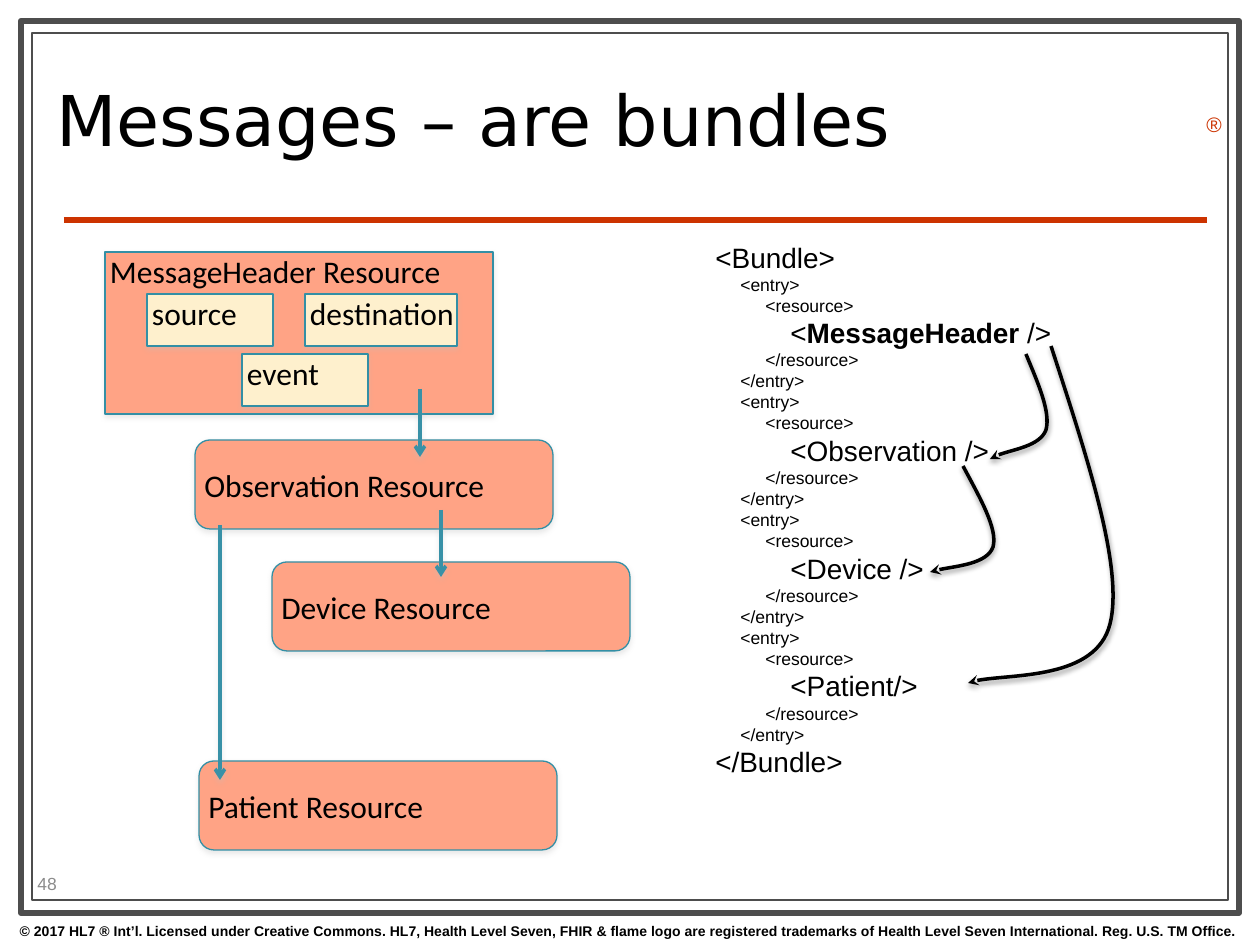
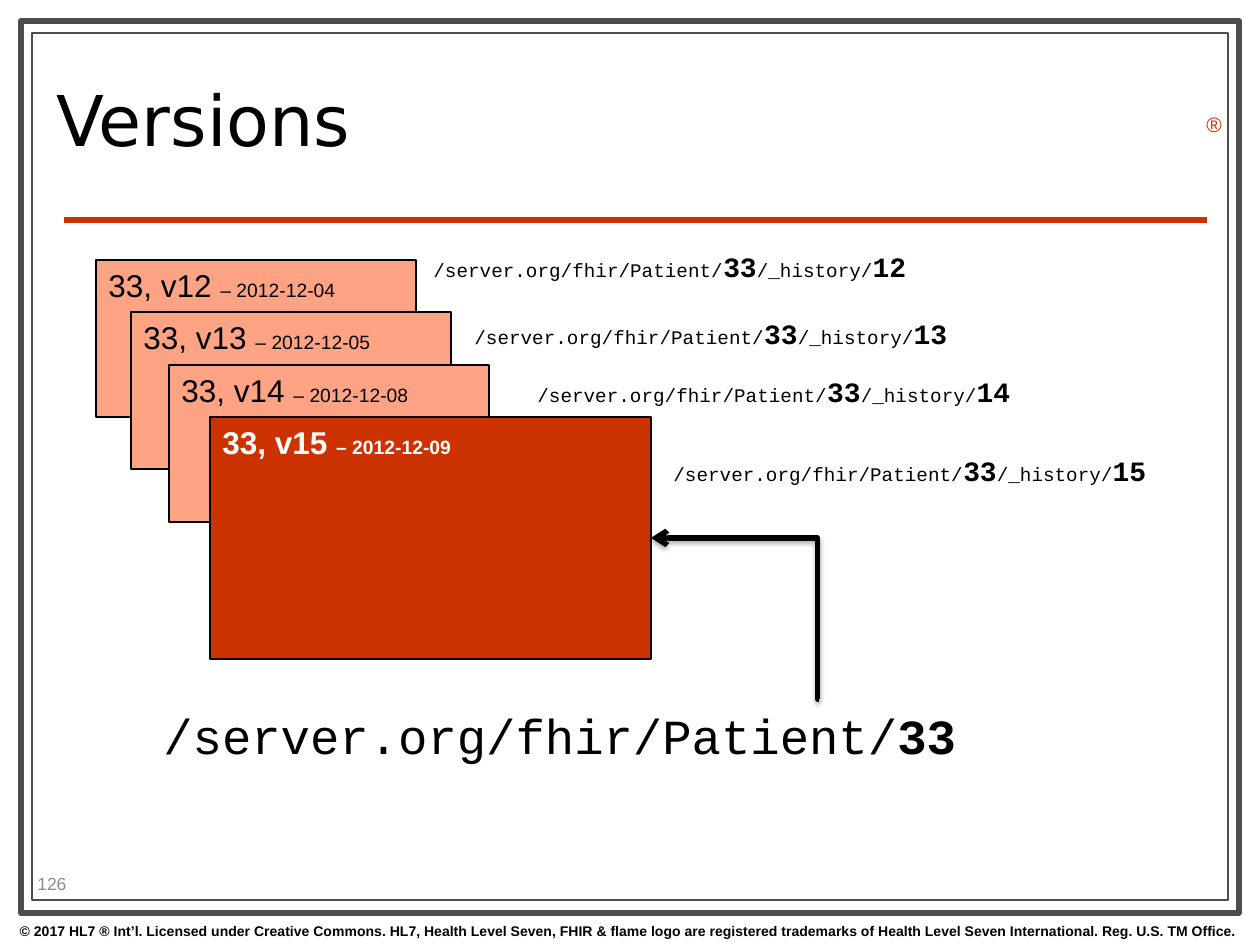
"""Build two slides on message bundles and resource versions."""
from dataclasses import dataclass
from lxml.etree import SubElement as Sub
from pptx import Presentation as Deck
from pptx.dml.color import RGBColor as Rgb
from pptx.enum.shapes import MSO_CONNECTOR as Link, MSO_SHAPE as Form
from pptx.enum.text import MSO_ANCHOR as Anchor, MSO_AUTO_SIZE as Fit, PP_ALIGN as Align
from pptx.oxml.ns import qn
from pptx.util import Pt


@dataclass(frozen=True)
class Theme:
    ink: str = "000000"
    paper: str = "FFFFFF"
    frame: str = "4D4D4D"
    brand: str = "CC3300"
    salmon: str = "FFA385"
    cream: str = "FEF0CD"
    edge: str = "338FA5"
    arrow: str = "3891A7"
    mute: str = "8C8C8C"
    haze: str = "C0C0C0"
    sans: str = "Arial"
    head: str = "DejaVu Sans"
    label: str = "Calibri"
    mono: str = "Courier New"
    title: int = 40
    link: int = 28
    body: int = 18
    key: int = 16
    mark: int = 12
    note: int = 11
    small: int = 10
    legal: int = 8


T = Theme()
PX = 914400 / 126
SIZE = 1260, 945

LEGAL = ("© 2017 HL7 ® Int’l. Licensed under Creative Commons. HL7, Health Level Seven, "
         "FHIR & flame logo are registered trademarks of Health Level Seven International. "
         "Reg. U.S. TM Office.")
FRAMES = [((21, 21, 1218, 892), 3.5), ((32, 33, 1196, 867), 0.75)]
RULE = (64, 220), (1207, 220)

CARD = 358, 89
CARDS = [("Observation Resource", (195, 440)), ("Device Resource", (272, 562)),
         ("Patient Resource", (199, 761))]
HEADER = "MessageHeader Resource", (105, 252, 388, 162)
FIELDS = [("source", (147, 294, 126, 52)), ("destination", (305, 294, 152, 52)),
          ("event", (242, 354, 126, 52))]
DROPS = [(420, 389, 457), (441, 510, 577), (220, 525, 780)]
CURVES = [
    [(1026, 354), (1038, 383), (1051, 412), (1046, 430), (1040, 446), (999, 452), (990, 459)],
    [(1051, 346), (1087, 457), (1124, 568), (1110, 624), (1096, 680), (992, 673), (968, 683)],
    [(963, 466), (980, 498), (998, 529), (993, 547), (987, 564), (940, 568), (930, 572)],
]
ITEMS = [("<", "MessageHeader", " />"), ("<Observation />",), ("<Device />",), ("<Patient/>",)]
TAB = 25

STEM = "/server.org/fhir/Patient/"
PAGE = 320, 157
VERSIONS = [
    ("12", "2012-12-04", (96, 260), (421, 243)),
    ("13", "2012-12-05", (131, 312), (462, 310)),
    ("14", "2012-12-08", (169, 365), (525, 368)),
    ("15", "2012-12-09", (210, 417), (661, 447)),
]
LATEST = 441, 242
ELBOW = (819, 699), (651, 538)


def px(*nums):
    return [round(n * PX) for n in nums]


def write(frame, paras, font=T.sans, size=T.body, color=T.ink, bold=False, align=Align.LEFT,
          anchor=Anchor.TOP, pads=None, space=None, tabs=0):
    frame.word_wrap, frame.auto_size, frame.vertical_anchor = True, Fit.NONE, anchor
    if pads:
        (frame.margin_left, frame.margin_top,
         frame.margin_right, frame.margin_bottom) = px(*pads)
    for i, runs in enumerate(paras):
        para = frame.add_paragraph() if i else frame.paragraphs[0]
        para.alignment = align
        if space:
            para.line_spacing = space
        if tabs:
            stops = Sub(para._p.get_or_add_pPr(), qn("a:tabLst"))
            for n in range(1, tabs + 1):
                Sub(stops, qn("a:tab"), pos=str(px(TAB * n)[0]), algn="l")
        for text, *form in runs:
            own = form[0] if form else {}
            run = para.add_run()
            run.text = text
            run.font.name = font
            run.font.size = Pt(own.get("size", size))
            run.font.bold = own.get("bold", bold)
            run.font.color.rgb = Rgb.from_string(color)


def label(slide, area, paras, **form):
    write(slide.shapes.add_textbox(*px(*area)).text_frame, paras, **form)


def stroke(item, color, width, end=None):
    item.line.color.rgb = Rgb.from_string(color)
    item.line.width = Pt(width)
    if end:
        Sub(item.line._get_or_add_ln(), qn("a:tailEnd"), type=end)


def shade(item, color=None, alpha=35):
    props = item._element.spPr
    fx = props.find(qn("a:effectLst"))
    if fx is None:
        fx = Sub(props, qn("a:effectLst"))
    if color:
        cast = Sub(fx, qn("a:outerShdw"), blurRad=str(Pt(3)), dist=str(Pt(1.7)),
                   dir="5400000", rotWithShape="0")
        tone = Sub(cast, qn("a:srgbClr"), val=color)
        Sub(tone, qn("a:alpha"), val=str(alpha * 1000))


def box(slide, area, fill, edge, width=0.75, form=Form.RECTANGLE, cast=None):
    item = slide.shapes.add_shape(form, *px(*area))
    item.shadow.inherit = False
    item.fill.solid()
    item.fill.fore_color.rgb = Rgb.from_string(fill)
    stroke(item, edge, width)
    shade(item, cast)
    return item


def line(slide, start, stop, color, width, end=None, cast=None, kind=Link.STRAIGHT):
    item = slide.shapes.add_connector(kind, *px(*start, *stop))
    stroke(item, color, width, end)
    shade(item, cast)
    return item


def curve(slide, points):
    build = slide.shapes.build_freeform(*points[0], scale=PX)
    build.add_line_segments(points[1:], close=False)
    item = build.convert_to_shape()
    item.shadow.inherit = False
    item.fill.background()
    trail = item._element.find(".//" + qn("a:path"))
    steps = trail.findall(qn("a:lnTo"))
    for i in range(0, len(steps), 3):
        bend = Sub(trail, qn("a:cubicBezTo"))
        for step in steps[i:i + 3]:
            bend.append(step[0])
            trail.remove(step)
    stroke(item, T.ink, 2, "stealth")
    shade(item, T.ink, 38)


def dress(slide, layout):
    old = set(slide.shapes._spTree)
    for area, width in FRAMES:
        box(slide, area, T.paper, T.frame, width)
    line(slide, *RULE, T.brand, 3)
    label(slide, (-1, 916, 1260, 29), [[(LEGAL,)]], size=T.legal, bold=True, align=Align.CENTER)
    label(slide, (1194, 105, 39, 38), [[("®",)]], size=T.mark, color=T.brand)
    for part in list(slide.shapes._spTree):
        if part not in old:
            layout.shapes._spTree.append(part)


def start(deck, layout, name, number):
    slide = deck.slides.add_slide(layout)
    head = slide.shapes.title
    head.left, head.top, head.width, head.height = px(44, 45, 903, 163)
    write(head.text_frame, [[(name,)]], font=T.head, size=T.title, anchor=Anchor.MIDDLE, space=0.8)
    label(slide, (25, 868, 100, 30), [[(number,)]], size=T.small, color=T.mute,
          anchor=Anchor.MIDDLE)
    return slide


def code():
    big, bold = {"size": T.key}, {"size": T.key, "bold": True}
    rows = [[("<Bundle>", big)]]
    for first, *rest in ITEMS:
        item = [("\t\t\t" + first, big)]
        item += [(text, form) for text, form in zip(rest, (bold, big))]
        rows += [[("\t<entry>",)], [("\t\t<resource>",)], item,
                 [("\t\t</resource>",)], [("\t</entry>",)]]
    return rows + [[("</Bundle>", big)]]


def bundles(slide):
    label(slide, (703, 234, 364, 556), code(), size=T.small, tabs=4)
    form = dict(font=T.label, pads=(5, 0, 0, 0))
    for text, spot in CARDS:
        item = box(slide, spot + CARD, T.salmon, T.edge, form=Form.ROUNDED_RECTANGLE, cast=T.haze)
        write(item.text_frame, [[(text,)]], anchor=Anchor.MIDDLE, **form)
    for (text, area), fill in zip([HEADER] + FIELDS, [T.salmon] + [T.cream] * len(FIELDS)):
        item = box(slide, area, fill, T.edge, cast=T.haze)
        write(item.text_frame, [[(text,)]], **form)
    for x, top, low in DROPS:
        line(slide, (x, top), (x, low), T.arrow, 2, "arrow", T.haze)
    for points in CURVES:
        curve(slide, points)


def versions(slide):
    key = {"size": T.key, "bold": True}
    for num, date, spot, place in VERSIONS:
        last = num == VERSIONS[-1][0]
        item = box(slide, spot + (LATEST if last else PAGE), T.brand if last else T.salmon, T.ink)
        write(item.text_frame, [[(f"33, v{num} ",), (f"– {date}", {"size": T.note})]],
              color=T.paper if last else T.ink, bold=last)
        label(slide, place + (598, 47), [[(STEM,), ("33", key), ("/_history/",), (num, key)]],
              font=T.mono, size=T.note)
    label(slide, (151, 699, 867, 72), [[(STEM,), ("33", {"bold": True})]],
          font=T.mono, size=T.link)
    bend = line(slide, *ELBOW, T.ink, 3, "arrow", T.ink, Link.ELBOW)
    knob = bend._element.spPr.find(".//" + qn("a:avLst"))
    Sub(knob, qn("a:gd"), name="adj1", fmla="val 800")


def main():
    deck = Deck()
    deck.slide_width, deck.slide_height = px(*SIZE)
    layout = deck.slide_layouts[5]
    first = start(deck, layout, "Messages – are bundles", "48")
    dress(first, layout)
    bundles(first)
    versions(start(deck, layout, "Versions", "126"))
    deck.save("out.pptx")


if __name__ == "__main__":
    main()
